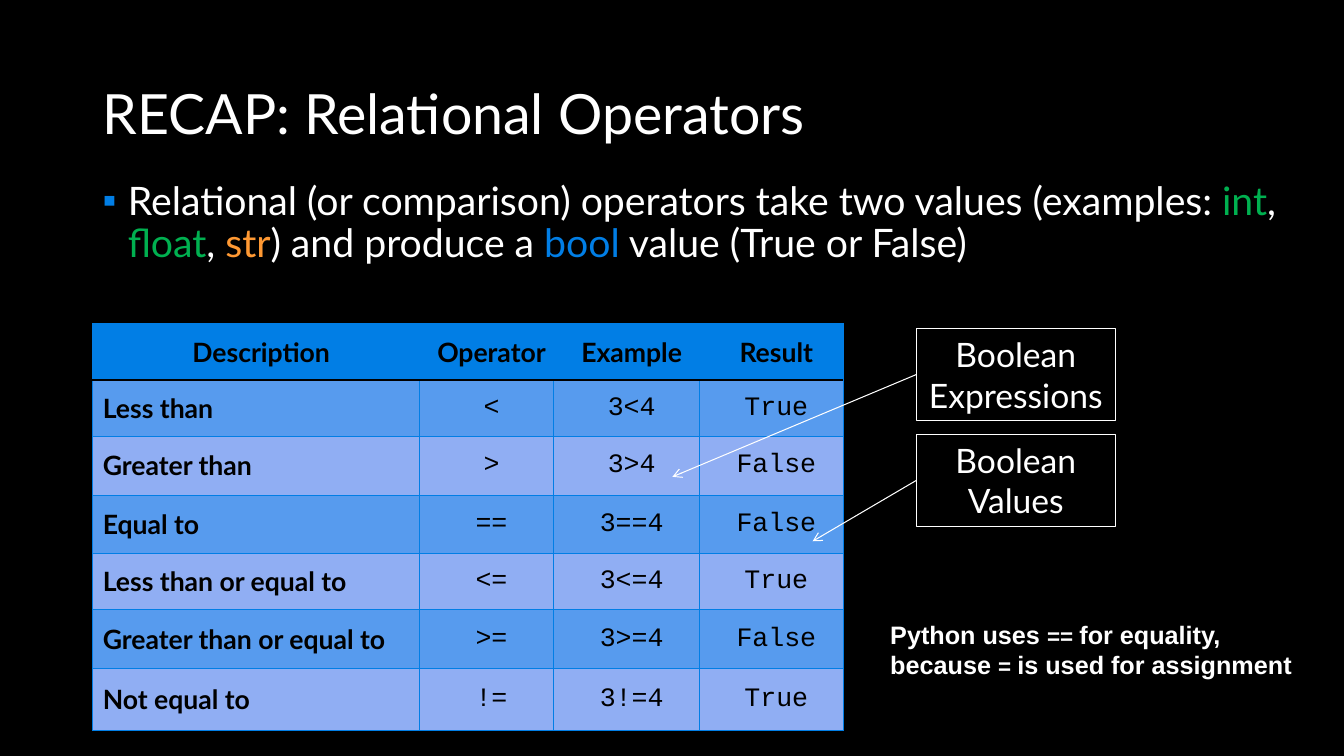
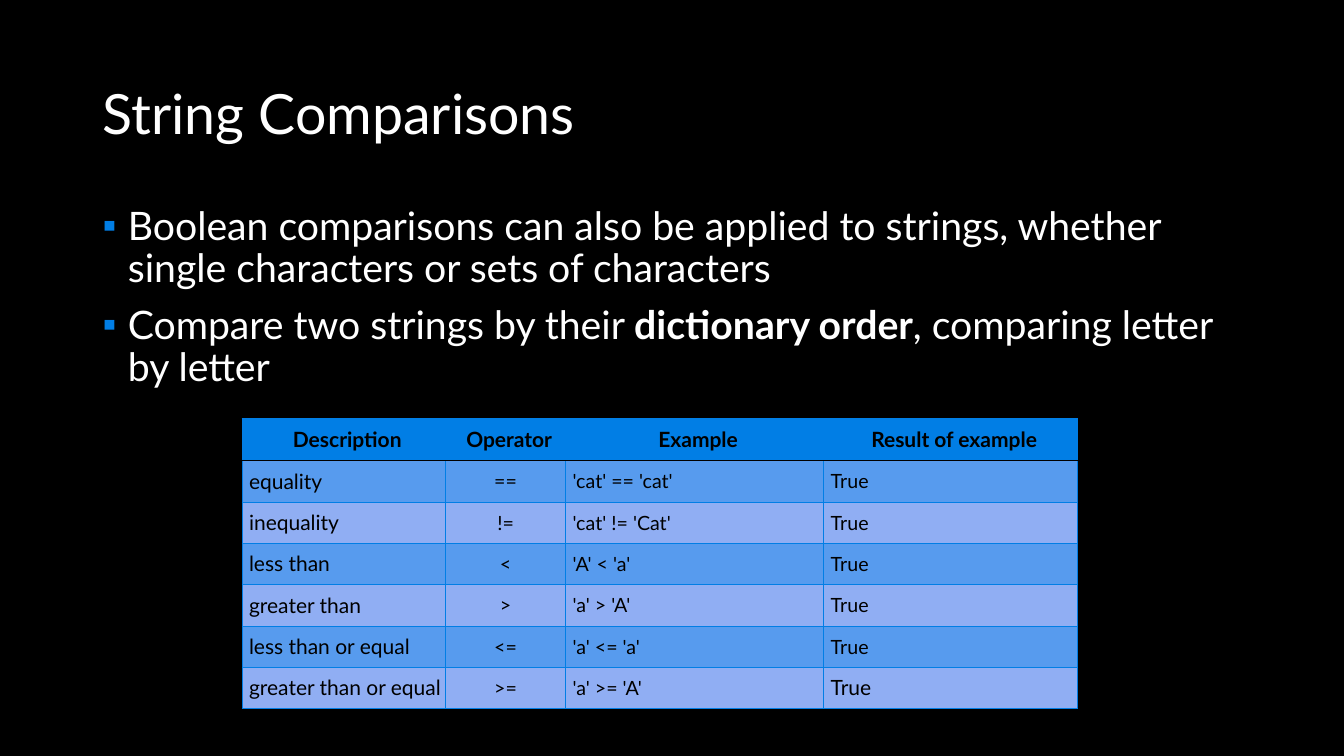
from lxml.etree import SubElement
from pptx import Presentation
from pptx.dml.color import RGBColor
from pptx.enum.shapes import MSO_CONNECTOR, MSO_SHAPE
from pptx.enum.text import MSO_ANCHOR, PP_ALIGN
from pptx.oxml.ns import qn
from pptx.util import Inches, Pt

COLORS = {
    "black": "000000", "white": "FFFFFF", "blue": "017EE5", "green": "00B050",
    "orange": "FF9933", "odd_row": "579BEE", "even_row": "90AEF3",
}
TEXT, MONO, NOTE = "Lato", "Courier New", "Arial"
LEFT, CENTER = PP_ALIGN.LEFT, PP_ALIGN.CENTER
MARGIN, TITLE_W = 0.92, 11.5

RECAP = {
    "title": "RECAP: Relational Operators",
    "body_at": (MARGIN, 1.75, 12.21, 0.98),
    "bullets": [[
        ("Relational (or comparison) operators take two values (examples: ", {}),
        ("int", {"color": "green"}), (", ", {}),
        ("float", {"color": "green"}), (", ", {}),
        ("str", {"color": "orange"}), (") and produce a ", {}),
        ("bool", {"color": "blue"}), (" value (True or False)", {}),
    ]],
    "table": {
        "at": (0.92, 3.21), "size": 19, "indent": 0.1,
        "heights": [0.56, 0.56, 0.58, 0.58, 0.56, 0.58, 0.62],
        "columns": [
            ("Description", 3.24, LEFT, 0.1, {"bold": True}),
            ("Operator", 1.33, CENTER, 0.1, {"font": MONO}),
            ("Example", 1.45, CENTER, 0.1, {"font": MONO}),
            ("Result", 1.42, CENTER, 0.1, {"font": MONO}),
        ],
        "rows": [
            ("Less than", "<", "3<4", "True"),
            ("Greater than", ">", "3>4", "False"),
            ("Equal to", "==", "3==4", "False"),
            ("Less than or equal to", "<=", "3<=4", "True"),
            ("Greater than or equal to", ">=", "3>=4", "False"),
            ("Not equal to", "!=", "3!=4", "True"),
        ],
    },
}
STRINGS = {
    "title": "String Comparisons",
    "body_at": (MARGIN, 2, TITLE_W, 2.1),
    "bullets": [
        [("Boolean comparisons can also be applied to strings, whether "
          "single characters or sets of characters", {})],
        [("Compare two strings by their ", {}),
         ("dictionary order", {"bold": True}),
         (", comparing letter by letter", {})],
    ],
    "table": {
        "at": (2.4, 4.15), "size": 15, "indent": 0.07,
        "heights": [0.42] + [0.41] * 6,
        "columns": [
            ("Description", 2.02, LEFT, 0.07, {}),
            ("Operator", 1.19, CENTER, 0, {"size": 14}),
            ("Example", 2.56, LEFT, 0.07, {"size": 14}),
            ("Result of example", 2.52, LEFT, 0.07, {"size": 14}),
        ],
        "rows": [
            ("equality", "==", "'cat' == 'cat'", "True"),
            ("inequality", "!=", "'cat' != 'Cat'", "True"),
            ("less than", "<", "'A' < 'a'", "True"),
            ("greater than", ">", "'a' > 'A'", "True"),
            ("less than or equal", "<=", "'a' <= 'a'", "True"),
            ("greater than or equal", ">=", "'a' >= 'A'", ("True", {"size": 15})),
        ],
    },
}
CALLOUTS = [
    ("Boolean Expressions", 3.26, (6.67, 4.73)),
    ("Boolean Values", 4.31, (8.06, 5.37)),
]
EQUALITY_NOTE = [
    ("Python uses ", {}), ("== ", {"size": 16}), ("for equality, because ", {}),
    ("= ", {"size": 16}), ("is used for assignment", {}),
]


def rgb(name):
    return RGBColor.from_string(COLORS[name])


def write(p, runs, **base):
    for text, changes in runs:
        style = {"font": TEXT, "color": "white", "bold": False, **base, **changes}
        r = p.add_run()
        r.text = text
        r.font.name = style["font"]
        r.font.size = Pt(style["size"])
        r.font.bold = style["bold"]
        r.font.color.rgb = rgb(style["color"])


def add_text(s, at, paragraphs, anchor=MSO_ANCHOR.TOP, spacing=None, inset=True, **base):
    tf = s.shapes.add_textbox(*map(Inches, at)).text_frame
    tf.word_wrap = True
    tf.vertical_anchor = anchor
    if not inset:
        tf.margin_left = tf.margin_right = tf.margin_top = tf.margin_bottom = 0
    for i, runs in enumerate(paragraphs):
        p = tf.add_paragraph() if i else tf.paragraphs[0]
        p.line_spacing = spacing
        write(p, runs, **base)
    return tf


def add_bullet(p):
    p.space_before = Pt(10)
    pPr = p._p.get_or_add_pPr()
    pPr.set("marL", str(Inches(0.25)))
    pPr.set("indent", str(-Inches(0.25)))
    color = SubElement(pPr, qn("a:buClr"))
    SubElement(color, qn("a:srgbClr"), val=COLORS["blue"])
    SubElement(pPr, qn("a:buFont"), typeface=NOTE)
    SubElement(pPr, qn("a:buChar"), char="▪")


def set_borders(cell, row):
    tcPr = cell._tc.get_or_add_tcPr()
    black_side = {0: "lnB", 1: "lnT"}.get(row)
    for side in ("lnL", "lnR", "lnT", "lnB"):
        color, width = ("black", 1) if side == black_side else ("blue", 0.5)
        ln = SubElement(tcPr, qn(f"a:{side}"), w=str(Pt(width)))
        fill = SubElement(ln, qn("a:solidFill"))
        SubElement(fill, qn("a:srgbClr"), val=COLORS[color])


def fill_cell(cell, row, content, align, indent, **style):
    set_borders(cell, row)
    cell.fill.solid()
    cell.fill.fore_color.rgb = rgb(
        "blue" if row == 0 else "odd_row" if row % 2 else "even_row")
    cell.margin_left = cell.margin_right = cell.margin_top = cell.margin_bottom = 0
    cell.vertical_anchor = MSO_ANCHOR.MIDDLE
    p = cell.text_frame.paragraphs[0]
    p.alignment = align
    p._p.get_or_add_pPr().set("marL", str(Inches(indent)))
    run = (content, {}) if isinstance(content, str) else content
    write(p, [run], **{"color": "black", **style})


def add_operator_table(s, spec_table):
    columns, heights = spec_table["columns"], spec_table["heights"]
    size = spec_table["size"]
    width = sum(column[1] for column in columns)
    frame = s.shapes.add_table(
        len(heights), len(columns),
        *map(Inches, (*spec_table["at"], width, sum(heights))))
    table = frame.table
    table.first_row = table.horz_banding = False
    for row, height in zip(table.rows, heights):
        row.height = Inches(height)
    for c, (heading, col_width, align, indent, style) in enumerate(columns):
        table.columns[c].width = Inches(col_width)
        fill_cell(table.cell(0, c), 0, heading, CENTER, spec_table["indent"],
                  size=size, bold=True)
        for r, values in enumerate(spec_table["rows"], 1):
            fill_cell(table.cell(r, c), r, values[c], align, indent,
                      **{"size": size, **style})


def add_callout(s, text, top, target):
    left, width, height = 9.09, 1.97, 0.91
    sp = s.shapes.add_shape(
        MSO_SHAPE.RECTANGLE, *map(Inches, (left, top, width, height)))
    sp.shadow.inherit = False
    sp.fill.background()
    sp.line.color.rgb = rgb("white")
    sp.line.width = Pt(0.75)
    sp.text_frame.word_wrap = True
    p = sp.text_frame.paragraphs[0]
    p.alignment = CENTER
    write(p, [(text, {})], size=24)

    arrow = s.shapes.add_connector(
        MSO_CONNECTOR.STRAIGHT, *map(Inches, (left, top + height / 2, *target)))
    arrow.begin_connect(sp, 1)
    arrow.line.color.rgb = rgb("white")
    arrow.line.width = Pt(0.75)
    SubElement(arrow.line._get_or_add_ln(), qn("a:tailEnd"), type="arrow")
    SubElement(arrow._element.spPr, qn("a:effectLst"))


def add_content_slide(prs, content):
    s = prs.slides.add_slide(prs.slide_layouts[6])
    add_text(s, (MARGIN, 0.8, TITLE_W, 0.72), [[(content["title"], {})]],
             anchor=MSO_ANCHOR.MIDDLE, spacing=0.9, size=39.6)
    tf = add_text(s, content["body_at"], content["bullets"], spacing=0.9, size=28)
    for p in tf.paragraphs:
        add_bullet(p)
    add_operator_table(s, content["table"])
    return s


def main():
    prs = Presentation()
    prs.slide_width, prs.slide_height = Inches(13.33), Inches(7.5)
    background = prs.slide_master.background.fill
    background.solid()
    background.fore_color.rgb = rgb("black")

    recap = add_content_slide(prs, RECAP)
    for callout in CALLOUTS:
        add_callout(recap, *callout)
    add_text(recap, (8.83, 6.14, 4.04, 0.61), [EQUALITY_NOTE],
             inset=False, size=18, font=NOTE, bold=True)
    add_content_slide(prs, STRINGS)
    prs.save("out.pptx")


if __name__ == "__main__":
    main()
